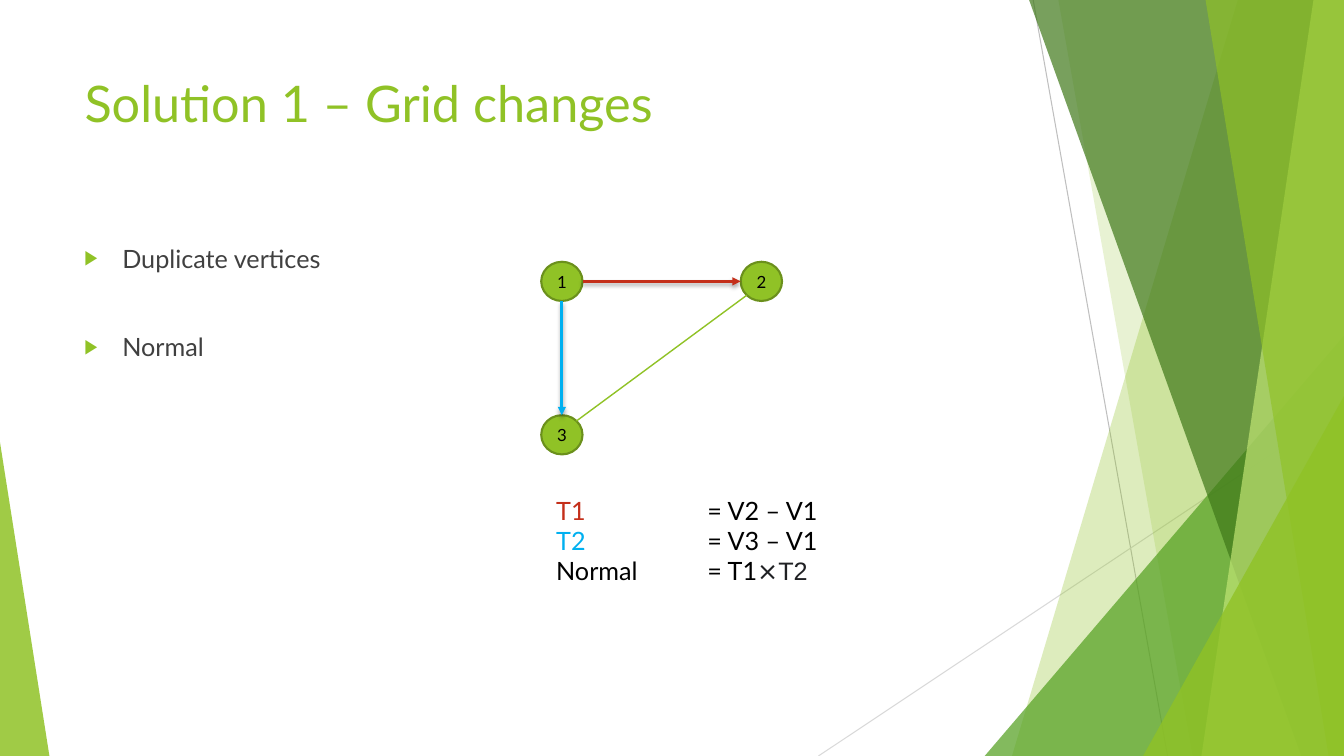
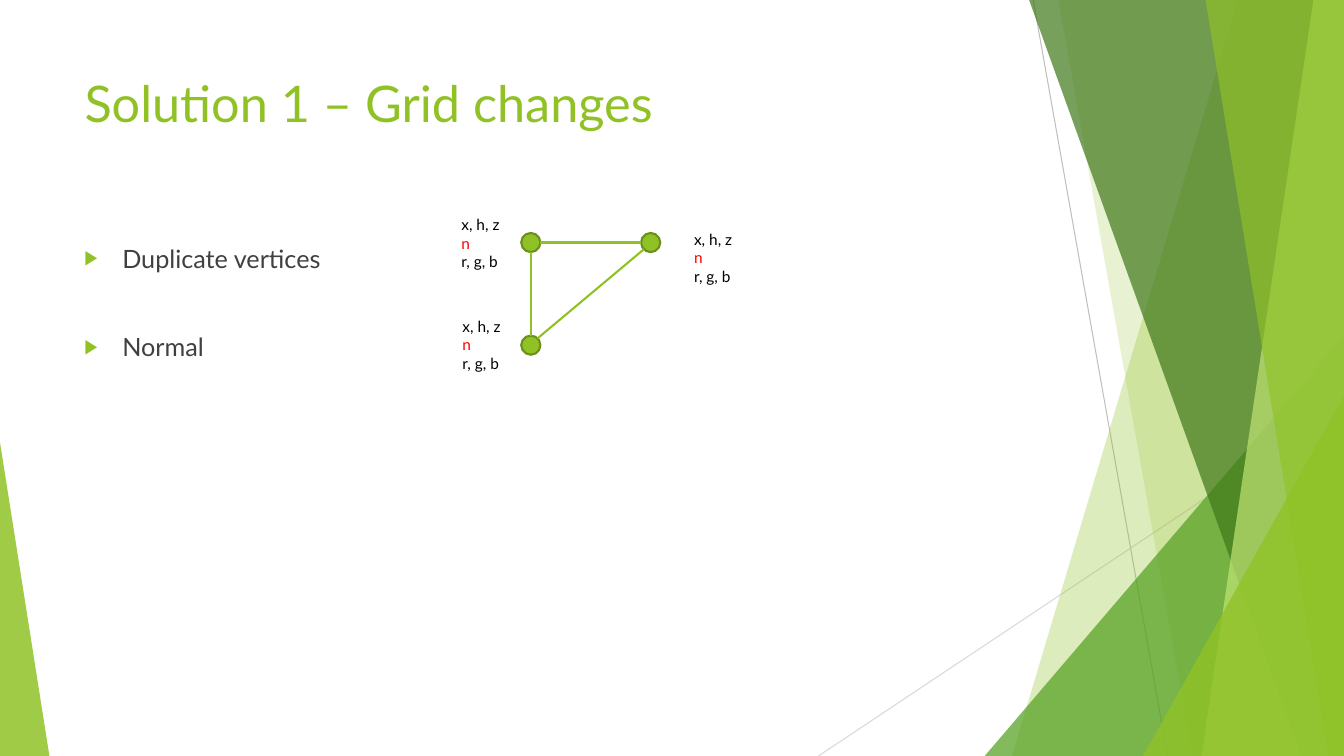
from dataclasses import dataclass
from math import sqrt

from lxml.etree import SubElement
from pptx import Presentation
from pptx.dml.color import RGBColor
from pptx.enum.shapes import MSO_CONNECTOR, MSO_SHAPE
from pptx.enum.text import MSO_ANCHOR, PP_ALIGN
from pptx.oxml.ns import qn
from pptx.util import Pt

COLORS = {
    "lime": "90C226", "rim": "6B901C", "green": "54A021", "forest": "3F7819",
    "pale": "C0E474", "gray": "BFBFBF", "silver": "D9D9D9", "body": "404040",
    "black": "000000", "ink": "202124", "rust": "C42F1A", "sky": "00B0F0",
    "red": "FF0000",
}
FONT = "Lato"
SYMBOL_FONT = "Arial"


@dataclass
class Box:
    """A rectangle in points."""
    left: float
    top: float
    width: float
    height: float

    @property
    def right(self):
        """Right edge."""
        return self.left + self.width

    @property
    def bottom(self):
        """Bottom edge."""
        return self.top + self.height

    def lengths(self):
        """Left, top, width and height for python-pptx."""
        return Pt(self.left), Pt(self.top), Pt(self.width), Pt(self.height)

    def at(self, across, down):
        """The point at the given fractions of width and height."""
        return self.left + across * self.width, self.top + down * self.height


PAGE = Box(0, 0, 960, 540)
TITLE = Box(53.3, 48.2, 677, 104)
BODY = Box(53.3, 170, 297, 305)


def rgb(name):
    """Colour of the palette by name."""
    return RGBColor.from_string(COLORS[name])


def style_span(span, size, color, font=FONT):
    """Set the font of a run."""
    span.font.size = Pt(size)
    span.font.name = font
    span.font.color.rgb = rgb(color)


def add_text(page, box, lines, size):
    """Add a text box; each line is a list of (text, colour[, font]) runs."""
    frame = page.shapes.add_textbox(*box.lengths()).text_frame
    frame.word_wrap = True
    for number, line in enumerate(lines):
        para = frame.add_paragraph() if number else frame.paragraphs[0]
        for text, *look in line:
            span = para.add_run()
            span.text = text
            style_span(span, size, *look)
    return frame


def add_line(page, start, end, color, width, arrow=False):
    """Add a straight line; an arrow gets a head and a soft shadow."""
    ends = [Pt(value) for value in (*start, *end)]
    line = page.shapes.add_connector(MSO_CONNECTOR.STRAIGHT, *ends)
    line.line.color.rgb = rgb(color)
    line.line.width = Pt(width)
    properties = line.element.spPr
    effects = SubElement(properties, qn("a:effectLst"))
    if arrow:
        SubElement(properties.find(qn("a:ln")), qn("a:tailEnd"), type="triangle")
        shadow = SubElement(effects, qn("a:outerShdw"), blurRad=str(Pt(3)),
                            dist=str(Pt(2)), dir="5400000", rotWithShape="0")
        black = SubElement(shadow, qn("a:srgbClr"), val=COLORS["black"])
        SubElement(black, qn("a:alpha"), val="35000")


def tint(shape, color, opacity):
    """Fill a shape with a translucent colour and no outline."""
    shape.shadow.inherit = False
    shape.fill.solid()
    shape.fill.fore_color.rgb = rgb(color)
    shape.line.fill.background()
    fill = shape.element.spPr.find(qn("a:solidFill"))
    SubElement(fill[0], qn("a:alpha"), val=str(opacity * 1000))


def add_band(page, box, top_left, bottom_left, color, opacity):
    """Add a slanted band reaching from its left edge to the box's right."""
    corners = [(top_left, box.top), (box.right, box.top),
               (box.right, box.bottom), (bottom_left, box.bottom)]
    points = [(Pt(x), Pt(y)) for x, y in corners]
    outline = page.shapes.build_freeform(*points[0], scale=1.0)
    outline.add_line_segments(points[1:], close=True)
    tint(outline.convert_to_shape(), color, opacity)


def add_wedge(page, box, apex, color, opacity):
    """Add a right triangle with its apex at the left (0) or right (1)."""
    wedge = page.shapes.add_shape(MSO_SHAPE.ISOSCELES_TRIANGLE, *box.lengths())
    wedge.adjustments[0] = apex
    tint(wedge, color, opacity)


def add_corner_wedge(page, box, left, top, color, opacity):
    """Add a wedge filling the bottom right corner of the box."""
    corner = Box(left, top, box.right - left, box.bottom - top)
    add_wedge(page, corner, 1, color, opacity)


def draw_backdrop(page, box):
    """Draw the thin lines and translucent bands shared by all slides."""
    add_line(page, (738, box.top), (834, box.bottom), "gray", 0.75)
    add_line(page, (box.right, 290), (584.6, box.bottom), "silver", 0.75)
    add_band(page, box, 884.2, 722.9, "lime", 30)
    add_band(page, box, 756, 851.8, "lime", 20)
    add_corner_wedge(page, box, 703.4, 239.8, "green", 72)
    add_band(page, box, 735.1, 929.5, "forest", 70)
    add_band(page, box, 938.2, 858.2, "pale", 70)
    add_band(page, box, 861.1, 949, "lime", 65)
    add_corner_wedge(page, box, 816.5, 283, "lime", 80)
    add_wedge(page, Box(box.left, 316, 35.3, box.bottom - 316), 0, "lime", 85)


def draw_bullets(page, box, items):
    """Write a widely spaced list with triangle bullets."""
    frame = add_text(page, box, [[(item, "body")] for item in items], 18)
    for number, para in enumerate(frame.paragraphs):
        para.space_before = Pt(41.6 if number else 0)
        properties = para._p.get_or_add_pPr()
        properties.set("marL", str(Pt(27)))
        properties.set("indent", str(Pt(-27)))
        color = SubElement(properties, qn("a:buClr"))
        SubElement(color, qn("a:srgbClr"), val=COLORS["lime"])
        SubElement(properties, qn("a:buSzPct"), val="80000")
        SubElement(properties, qn("a:buFont"), typeface=SYMBOL_FONT)
        SubElement(properties, qn("a:buChar"), char="\u25b6")


def add_vertex(page, box, label):
    """Add one round vertex with an optional label."""
    vertex = page.shapes.add_shape(MSO_SHAPE.OVAL, *box.lengths())
    vertex.shadow.inherit = False
    vertex.fill.solid()
    vertex.fill.fore_color.rgb = rgb("lime")
    vertex.line.color.rgb = rgb("rim")
    vertex.line.width = Pt(1.5)
    if label:
        frame = vertex.text_frame
        frame.text = label
        frame.vertical_anchor = MSO_ANCHOR.MIDDLE
        para = frame.paragraphs[0]
        para.alignment = PP_ALIGN.CENTER
        style_span(para.runs[0], 12, "black")


def draw_triangle(page, box, size, labels, edges):
    """Draw vertices in three corners of the box and the edges between them.

    The edges are styles for the diagonal, the top and the left side.
    """
    width, height = size
    first = Box(box.left, box.top, width, height)
    second = Box(box.right - width, box.top, width, height)
    third = Box(box.left, box.bottom - height, width, height)
    for vertex, label in zip((first, second, third), labels):
        add_vertex(page, vertex, label)
    near = 0.5 - sqrt(0.125)
    routes = [(second.at(near, 1 - near), third.at(1 - near, near)),
              (first.at(1, 0.5), second.at(0, 0.5)),
              (first.at(0.5, 1), third.at(0.5, 0))]
    for (start, end), style in zip(routes, edges):
        add_line(page, start, end, *style)


def draw_formulas(page, box):
    """Write the tangent and normal formulas, aligned at a tab stop."""
    lines = [
        [("T1", "rust"), ("\t= V2 \u2013 V1", "black")],
        [("T2", "sky"), ("\t= V3 \u2013 V1", "black")],
        [("Normal\t= T1", "black"), ("\u2a2fT2", "ink", SYMBOL_FONT)],
    ]
    for para in add_text(page, box, lines, 18).paragraphs:
        stops = SubElement(para._p.get_or_add_pPr(), qn("a:tabLst"))
        SubElement(stops, qn("a:tab"), pos=str(Pt(108)), algn="l")


def draw_attributes(page, box):
    """List the data stored with one vertex."""
    lines = [[("x, h, z", "black")], [("n", "red")], [("r, g, b", "black")]]
    add_text(page, box, lines, 11)


def start_page(deck):
    """Add a slide with backdrop, title and bullets."""
    page = deck.slides.add_slide(deck.slide_layouts[6])
    draw_backdrop(page, PAGE)
    add_text(page, TITLE, [[("Solution 1 \u2013 Grid changes", "lime")]], 36)
    draw_bullets(page, BODY, ["Duplicate vertices", "Normal"])
    return page


def build_normal_page(deck):
    """Show how the normal follows from two edges."""
    page = start_page(deck)
    edges = [("lime", 1), ("rust", 2, True), ("sky", 2, True)]
    draw_triangle(page, Box(386.6, 187, 172, 137.6), (29.5, 28), "123", edges)
    draw_formulas(page, Box(390.2, 350, 219.6, 72.7))


def build_attribute_page(deck):
    """Show the data each vertex carries."""
    page = start_page(deck)
    draw_triangle(page, Box(372.3, 166.4, 99.3, 87), (13.7, 13.7),
                  [""] * 3, [("lime", 1.5)] * 3)
    for left, top in [(322.5, 150.2), (323.3, 222.7), (488.7, 160.7)]:
        draw_attributes(page, Box(left, top, 138, 47.5))


deck = Presentation()
deck.slide_width, deck.slide_height = Pt(PAGE.width), Pt(PAGE.height)
build_normal_page(deck)
build_attribute_page(deck)
deck.save("out.pptx")
